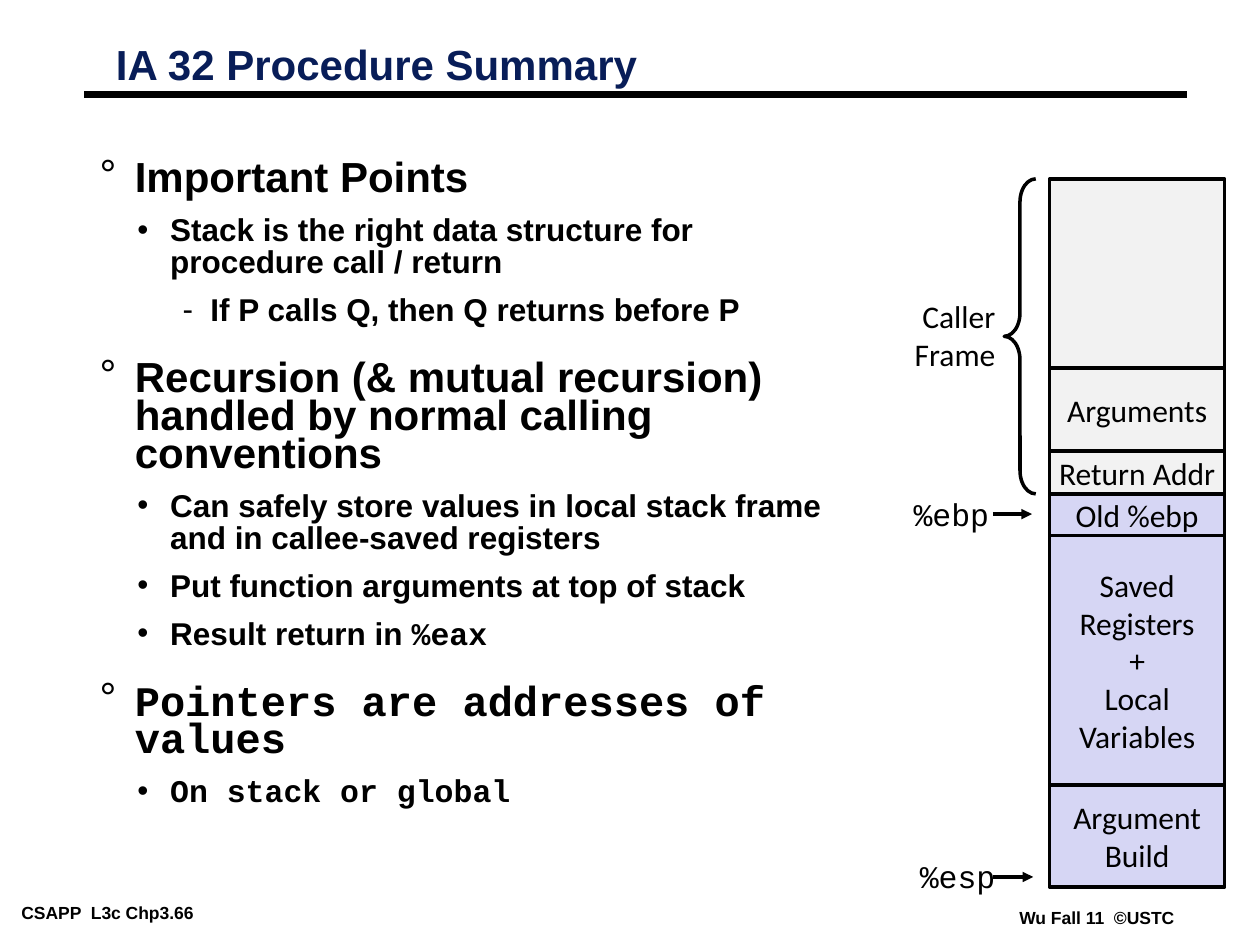
from dataclasses import dataclass

from lxml.etree import SubElement
from pptx import Presentation
from pptx.dml.color import RGBColor
from pptx.enum.shapes import MSO_CONNECTOR, MSO_SHAPE
from pptx.enum.text import MSO_ANCHOR as Anchor, PP_ALIGN as Align
from pptx.oxml.ns import qn
from pptx.util import Inches, Pt

COLORS = {"ink": "000000", "title": "081D58", "caller": "F2F2F2", "callee": "D6D6F4"}
SANS, LABEL, CODE = "Arial", "Calibri", "Courier New"


@dataclass
class Level:
    size: int
    indent: float
    hanging: float
    spacing: float
    before: float
    bullet: str


@dataclass
class Point:
    level: int
    runs: list  # (text, font) pairs


@dataclass
class Slot:
    text: str
    top: float
    bottom: float
    fill: str


@dataclass
class Register:
    name: str
    y: float
    label_top: float
    label_right: float
    arrow_end: float


LEVELS = [
    Level(24, 0.28, 0.28, 0.75, 19.5, "°"),
    Level(18, 0.56, 0.26, 0.85, 9, "•"),
    Level(18, 0.88, 0.22, 0.85, 9, "-"),
]
POINTS = [
    Point(0, [("Important Points", SANS)]),
    Point(1, [("Stack is the right data structure for procedure call / return", SANS)]),
    Point(2, [("If P calls Q, then Q returns before P", SANS)]),
    Point(0, [("Recursion (& mutual recursion) handled by normal calling conventions", SANS)]),
    Point(1, [("Can safely store values in local stack frame and in callee-saved registers", SANS)]),
    Point(1, [("Put function arguments at top of stack", SANS)]),
    Point(1, [("Result return in ", SANS), ("%eax", CODE)]),
    Point(0, [("Pointers are addresses of values", CODE)]),
    Point(1, [("On stack or global", CODE)]),
]
STACK_LEFT, STACK_WIDTH = 8.33, 1.39
STACK = [
    Slot("", 1.42, 2.92, "caller"),
    Slot("Arguments", 2.92, 3.58, "caller"),
    Slot("Return Addr", 3.58, 3.92, "caller"),
    Slot("Old %ebp", 3.92, 4.25, "callee"),
    Slot("Saved\nRegisters\n+\nLocal\nVariables", 4.25, 6.23, "callee"),
    Slot("Argument\nBuild", 6.23, 7.04, "callee"),
]
REGISTERS = [
    Register("%ebp", 4.08, 3.89, 7.89, 8.19),
    Register("%esp", 6.96, 6.76, 7.94, 8.2),
]


def rgb(name: str) -> RGBColor:
    return RGBColor.from_string(COLORS[name])


def add_run(paragraph, text: str, font: str, size: float, bold: bool, color: str) -> None:
    run = paragraph.add_run()
    run.text = text
    run.font.name, run.font.size, run.font.bold = font, Pt(size), bold
    run.font.color.rgb = rgb(color)


def prepare_frame(frame, inset_x: float, inset_y: float, wrap: bool, anchor) -> None:
    frame.word_wrap, frame.vertical_anchor = wrap, anchor
    frame.margin_left = frame.margin_right = Inches(inset_x)
    frame.margin_top = frame.margin_bottom = Inches(inset_y)


def write(frame, text: str, *, font=LABEL, size=18, bold=False, color="ink",
          align=Align.LEFT, anchor=Anchor.TOP, inset=(0.04, 0.04), wrap=True,
          spacing=1.0) -> None:
    prepare_frame(frame, *inset, wrap, anchor)
    for index, line in enumerate(text.split("\n")):
        paragraph = frame.paragraphs[0] if index == 0 else frame.add_paragraph()
        paragraph.alignment, paragraph.line_spacing = align, spacing
        add_run(paragraph, line, font, size, bold, color)


def add_box(slide, left: float, top: float, width: float, height: float):
    return slide.shapes.add_textbox(
        Inches(left), Inches(top), Inches(width), Inches(height)).text_frame


def add_line(slide, x1: float, x2: float, y: float, weight: float, arrow=False) -> None:
    line = slide.shapes.add_connector(
        MSO_CONNECTOR.STRAIGHT, Inches(x1), Inches(y), Inches(x2), Inches(y))
    line.line.color.rgb, line.line.width = rgb("ink"), Pt(weight)
    if arrow:
        SubElement(line.line._get_or_add_ln(), qn("a:tailEnd"), type="triangle")
    SubElement(line._element.spPr, qn("a:effectLst"))


def add_outline(slide, kind, left: float, top: float, width: float, height: float):
    shape = slide.shapes.add_shape(
        kind, Inches(left), Inches(top), Inches(width), Inches(height))
    shape.shadow.inherit = False
    shape.fill.background()
    shape.line.color.rgb, shape.line.width = rgb("ink"), Pt(2)
    return shape


def add_points(frame, points: list[Point]) -> None:
    prepare_frame(frame, 0.04, 0.04, True, Anchor.TOP)
    for index, point in enumerate(points):
        level = LEVELS[point.level]
        paragraph = frame.paragraphs[0] if index == 0 else frame.add_paragraph()
        paragraph.level = point.level
        paragraph.line_spacing = level.spacing
        paragraph.space_before = Pt(level.before if index else 0)
        props = paragraph._p.get_or_add_pPr()
        props.set("marL", str(Inches(level.indent)))
        props.set("indent", str(-Inches(level.hanging)))
        bullet_color = SubElement(props, qn("a:buClr"))
        SubElement(bullet_color, qn("a:srgbClr"), val=COLORS["ink"])
        SubElement(props, qn("a:buFont"), typeface=SANS)
        SubElement(props, qn("a:buChar"), char=level.bullet)
        for text, font in point.runs:
            add_run(paragraph, text, font, level.size, True, "ink")


def add_slot(slide, slot: Slot) -> None:
    shape = add_outline(slide, MSO_SHAPE.RECTANGLE, STACK_LEFT, slot.top,
                        STACK_WIDTH, slot.bottom - slot.top)
    shape.fill.solid()
    shape.fill.fore_color.rgb = rgb(slot.fill)
    if slot.text:
        write(shape.text_frame, slot.text, align=Align.CENTER,
              anchor=Anchor.MIDDLE, inset=(0, 0))


def add_register(slide, register: Register) -> None:
    width = 1.7
    label = add_box(slide, register.label_right - width, register.label_top, width, 0.36)
    write(label, register.name, font=CODE, align=Align.RIGHT)
    add_line(slide, 7.88, register.arrow_end, register.y, 2, arrow=True)


def main() -> None:
    prs = Presentation()
    prs.slide_width, prs.slide_height = Inches(10), Inches(7.5)
    slide = prs.slides.add_slide(prs.slide_layouts[6])

    # Footer
    footer = dict(font=SANS, size=10, bold=True, inset=(0.07, 0.03), wrap=False)
    write(add_box(slide, 0.1, 7.13, 2.02, 0.22), "CSAPP  L3c Chp3.66", **footer)
    write(add_box(slide, 8.02, 7.17, 1.38, 0.22), "Wu Fall 11  ©USTC", **footer)

    # Title and rule
    add_line(slide, 0.67, 9.42, 0.75, 4.5)
    write(add_box(slide, 0.88, 0.32, 5.62, 0.43), "IA 32 Procedure Summary", font=SANS,
          size=24, bold=True, color="title", anchor=Anchor.MIDDLE, spacing=0.87)

    # Bulleted points
    add_points(add_box(slide, 0.75, 1.25, 6.01, 4.92), POINTS)

    # Stack frame
    for slot in STACK:
        add_slot(slide, slot)

    # Caller frame brace
    write(add_box(slide, 7.11, 2.32, 0.83, 0.68), "Caller\nFrame", align=Align.RIGHT)
    brace = add_outline(slide, MSO_SHAPE.LEFT_BRACE, 7.97, 1.42, 0.25, 2.5)
    brace.adjustments[0] = 0.74

    # Register pointers
    for register in REGISTERS:
        add_register(slide, register)

    prs.save("out.pptx")


if __name__ == "__main__":
    main()
